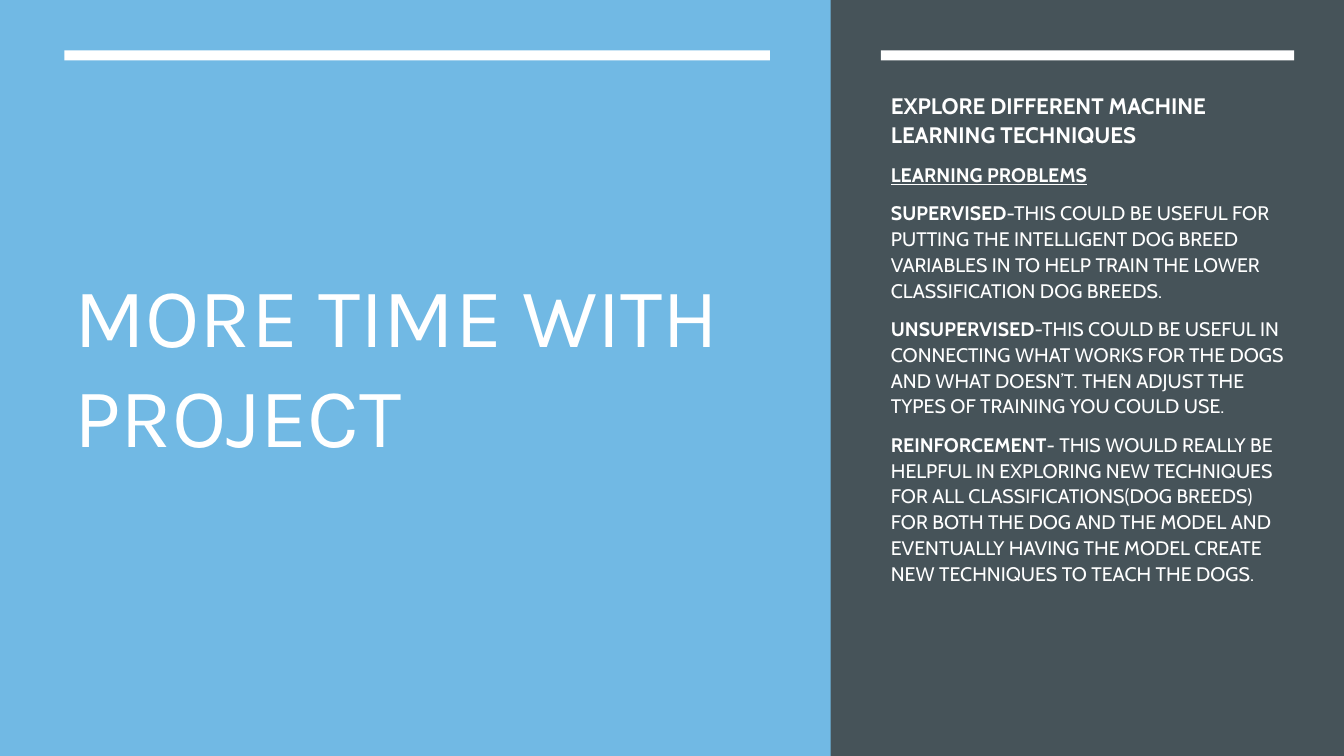
from dataclasses import dataclass

from pptx import Presentation
from pptx.dml.color import RGBColor
from pptx.enum.shapes import MSO_SHAPE
from pptx.enum.text import MSO_ANCHOR, MSO_AUTO_SIZE, PP_ALIGN
from pptx.util import Pt


@dataclass(frozen=True)
class Theme:
    backdrop: str = "000000"
    sky: str = "71B9E4"
    slate: str = "465359"
    white: str = "FFFFFF"
    title_font: str = "Karla"
    body_font: str = "Cabin"
    title_size: int = 60
    heading_size: int = 16
    body_size: int = 14


def add_run(paragraph, text, *, font, size, color, bold=False, underline=False):
    run = paragraph.add_run()
    run.text = text
    run.font.name = font
    run.font.size = Pt(size)
    run.font.color.rgb = RGBColor.from_string(color)
    run.font.bold = bold
    run.font.underline = underline


class SlideBuilder:
    def __init__(self, slide, theme):
        self.slide = slide
        self.theme = theme
        background = slide.background.fill
        background.solid()
        background.fore_color.rgb = RGBColor.from_string(theme.backdrop)

    def panel(self, left, top, width, height, color):
        panel = self.slide.shapes.add_shape(
            MSO_SHAPE.RECTANGLE, Pt(left), Pt(top), Pt(width), Pt(height))
        panel.shadow.inherit = False
        panel.fill.solid()
        panel.fill.fore_color.rgb = RGBColor.from_string(color)
        panel.line.fill.background()

    def frame(self, holder, anchor):
        frame = holder.text_frame
        frame.word_wrap = True
        frame.auto_size = MSO_AUTO_SIZE.NONE
        frame.vertical_anchor = anchor
        return frame

    def title(self, text, left, top, width, height):
        title = self.slide.shapes.title
        title.left, title.top = Pt(left), Pt(top)
        title.width, title.height = Pt(width), Pt(height)
        self.slide.shapes._spTree.append(title._element)
        paragraph = self.frame(title, MSO_ANCHOR.MIDDLE).paragraphs[0]
        paragraph.alignment = PP_ALIGN.LEFT
        add_run(paragraph, text, font=self.theme.title_font,
                size=self.theme.title_size, color=self.theme.white)

    def body(self, paragraphs, left, top, width, height):
        body = self.slide.shapes.add_textbox(
            Pt(left), Pt(top), Pt(width), Pt(height))
        frame = self.frame(body, MSO_ANCHOR.TOP)
        for index, (size, runs) in enumerate(paragraphs):
            paragraph = frame.add_paragraph() if index else frame.paragraphs[0]
            paragraph.line_spacing = 1.1
            paragraph.space_before = Pt(0.2 * size if index else 0)
            paragraph.space_after = Pt(6)
            for text, emphasis in runs:
                add_run(paragraph, text, font=self.theme.body_font, size=size,
                        color=self.theme.white, **emphasis)


LEARNING_PROBLEMS = [
    ("SUPERVISED", "-THIS COULD BE USEFUL FOR PUTTING THE INTELLIGENT DOG BREED "
     "VARIABLES IN TO HELP TRAIN THE LOWER CLASSIFICATION DOG BREEDS."),
    ("UNSUPERVISED", "-THIS COULD BE USEFUL IN CONNECTING WHAT WORKS FOR THE DOGS "
     "AND WHAT DOESN’T. THEN ADJUST THE TYPES OF TRAINING YOU COULD USE."),
    ("REINFORCEMENT", "- THIS WOULD REALLY BE HELPFUL IN EXPLORING NEW TECHNIQUES "
     "FOR ALL CLASSIFICATIONS(DOG BREEDS) FOR BOTH THE DOG AND THE MODEL AND "
     "EVENTUALLY HAVING THE MODEL CREATE NEW TECHNIQUES TO TEACH THE DOGS."),
]


def main():
    theme = Theme()
    deck = Presentation()
    deck.slide_width, deck.slide_height = Pt(960), Pt(540)
    builder = SlideBuilder(deck.slides.add_slide(deck.slide_layouts[5]), theme)

    title_left, title_width = 46, 504
    body_left, body_width = 629.3, 295.2
    sidebar_left = 593.3

    builder.panel(0, 0, 960, 540, theme.sky)
    builder.title("MORE TIME WITH PROJECT", title_left, 79.2, title_width, 361.4)
    builder.panel(sidebar_left, 0, 960 - sidebar_left, 540, theme.slate)
    for left, width in ((title_left, title_width), (body_left, body_width)):
        builder.panel(left, 36, width, 7.2, theme.white)

    bold = {"bold": True}
    paragraphs = [
        (theme.heading_size,
         [("EXPLORE DIFFERENT MACHINE LEARNING TECHNIQUES", bold)]),
        (theme.body_size,
         [("LEARNING PROBLEMS", {"bold": True, "underline": True})]),
    ]
    paragraphs += [(theme.body_size, [(name, bold), (use, {})])
                   for name, use in LEARNING_PROBLEMS]
    builder.body(paragraphs, body_left, 60, body_width, 425)
    deck.save("out.pptx")


if __name__ == "__main__":
    main()
